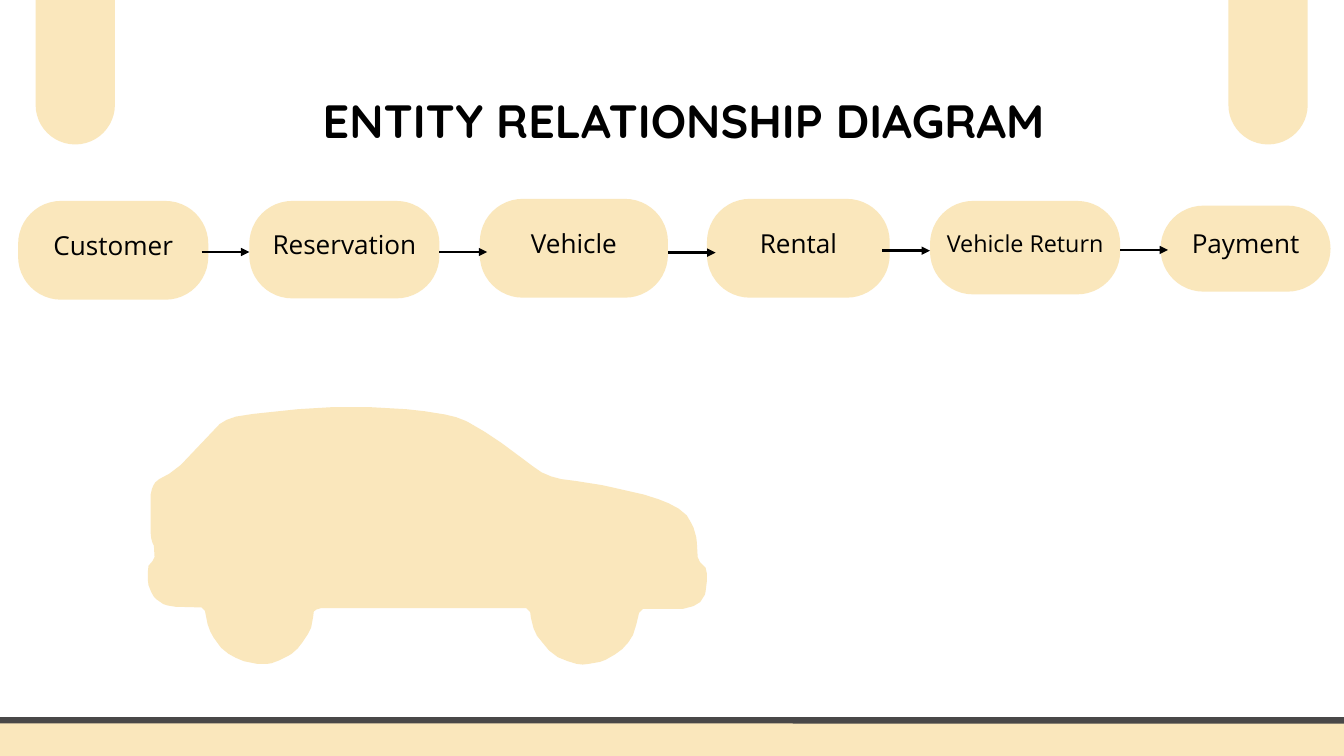
from lxml.etree import SubElement
from pptx import Presentation
from pptx.dml.color import RGBColor
from pptx.enum.shapes import MSO_CONNECTOR, MSO_SHAPE
from pptx.enum.text import MSO_ANCHOR, PP_ALIGN
from pptx.oxml.ns import qn
from pptx.util import Inches, Pt

CREAM = RGBColor(0xFA, 0xE7, 0xBC)
GRAY = RGBColor(0x49, 0x48, 0x48)
BLACK = RGBColor(0x00, 0x00, 0x00)

prs = Presentation()
prs.slide_width = Inches(20)
prs.slide_height = Inches(11.25)
slide = prs.slides.add_slide(prs.slide_layouts[6])


def add_rounded(left, top, width, height, radius):
    """Add a borderless cream rectangle; radius is in inches."""
    shape = slide.shapes.add_shape(
        MSO_SHAPE.ROUNDED_RECTANGLE,
        Inches(left), Inches(top), Inches(width), Inches(height))
    shape.adjustments[0] = min(0.5, radius / min(width, height))
    shape.shadow.inherit = False
    shape.fill.solid()
    shape.fill.fore_color.rgb = CREAM
    shape.line.fill.background()
    return shape


def write_line(frame, text, font_name, size, bold=False):
    """Write one centred line with line spacing of 1.4 times the size."""
    paragraph = frame.paragraphs[0]
    paragraph.alignment = PP_ALIGN.CENTER
    paragraph.line_spacing = Pt(size * 1.4)
    run = paragraph.add_run()
    run.text = text
    run.font.name = font_name
    run.font.size = Pt(size)
    run.font.bold = bold
    run.font.color.rgb = BLACK


# Hanging tabs and floor
for tab_left in (18.28, 0.53):
    add_rounded(tab_left, -1.08, 1.18, 3.23, 0.59)

floor = add_rounded(-0.58, 10.72, 21.16, 0.9, 0.09)
floor.line.color.rgb = GRAY
floor.line.width = Pt(6.75)

# Entities: name, left, top, width, height, text size, upward text shift
entities = [
    ("Customer", 0.27, 2.99, 2.83, 1.47, 28, 0.24),
    ("Reservation", 3.71, 2.99, 2.83, 1.45, 28, 0.24),
    ("Vehicle", 7.14, 2.96, 2.8, 1.47, 28, 0.24),
    ("Rental", 10.52, 2.96, 2.72, 1.47, 28, 0.24),
    ("Vehicle Return", 13.84, 2.99, 2.83, 1.39, 25, 0.2),
    ("Payment", 17.27, 3.06, 2.53, 1.28, 28, 0.24),
]
for name, left, top, width, height, size, shift in entities:
    entity = add_rounded(left, top, width, height, 0.64)
    frame = entity.text_frame
    frame.word_wrap = False
    frame.vertical_anchor = MSO_ANCHOR.MIDDLE
    frame.margin_left = frame.margin_right = frame.margin_top = Inches(0.06)
    frame.margin_bottom = Inches(0.06 + shift)
    write_line(frame, name, "Open Sans", size)

# Car silhouette, counterclockwise from the rear window
car_outline = [
    # Rear
    (2.24, 7.37), (2.24, 7.91), (2.25, 8.01), (2.27, 8.08), (2.29, 8.12),
    (2.3, 8.29), (2.27, 8.35), (2.21, 8.42), (2.2, 8.51), (2.2, 8.63),
    (2.21, 8.71), (2.25, 8.81), (2.29, 8.88), (2.33, 8.92), (2.43, 8.99),
    (2.49, 9.01), (2.61, 9.03), (3, 9.04), (3.05, 9.09),
    # Rear wheel
    (3.06, 9.14), (3.09, 9.29), (3.13, 9.4), (3.18, 9.49), (3.29, 9.64),
    (3.4, 9.73), (3.51, 9.79), (3.63, 9.84), (3.83, 9.88), (3.98, 9.88),
    (4.04, 9.87), (4.15, 9.83), (4.29, 9.76), (4.34, 9.73), (4.43, 9.65),
    (4.5, 9.56), (4.58, 9.44), (4.63, 9.34), (4.66, 9.18), (4.67, 9.1),
    (4.71, 9.07), (4.78, 9.05),
    # Front wheel
    (7.83, 9.05), (7.89, 9.11), (7.9, 9.19), (7.94, 9.35), (7.99, 9.46),
    (8.03, 9.51), (8.12, 9.62), (8.17, 9.68), (8.3, 9.78), (8.45, 9.84),
    (8.58, 9.88), (8.67, 9.89), (8.76, 9.88), (8.93, 9.85), (9.01, 9.82),
    (9.15, 9.74), (9.26, 9.66), (9.35, 9.56), (9.42, 9.45), (9.47, 9.29),
    (9.51, 9.12), (9.57, 9.06),
    # Front
    (10.17, 9.06), (10.32, 9.02), (10.42, 8.96), (10.49, 8.85), (10.5, 8.8),
    (10.52, 8.64), (10.52, 8.54), (10.5, 8.45), (10.42, 8.37), (10.38, 8.29),
    (10.38, 8.25), (10.37, 8.07), (10.36, 7.99), (10.32, 7.85),
    (10.29, 7.79), (10.22, 7.67), (10.1, 7.57), (9.95, 7.49),
    # Bonnet and windscreen
    (9.8, 7.43), (9.58, 7.36), (9.14, 7.26), (8.96, 7.22), (8.58, 7.16),
    (8.35, 7.13), (8.2, 7.09), (8.06, 7.03), (7.93, 6.94), (7.77, 6.82),
    (7.46, 6.59), (7.22, 6.43), (6.98, 6.29),
    # Roof and rear window
    (6.92, 6.26), (6.79, 6.21), (6.63, 6.17), (6.32, 6.12), (6.05, 6.09),
    (5.52, 6.06), (4.93, 6.06), (4.43, 6.09), (3.77, 6.16), (3.51, 6.2),
    (3.37, 6.25), (3.27, 6.31), (2.69, 6.92), (2.52, 7.05), (2.37, 7.13),
    (2.31, 7.18), (2.28, 7.23), (2.26, 7.28),
]
vertices = [(Inches(x), Inches(y)) for x, y in car_outline]
builder = slide.shapes.build_freeform(*vertices[0])
builder.add_line_segments(vertices[1:], close=True)
car = builder.convert_to_shape()
car.shadow.inherit = False
car.fill.solid()
car.fill.fore_color.rgb = CREAM
car.line.fill.background()

# Title
title = slide.shapes.add_textbox(
    Inches(3.11), Inches(1.23), Inches(14.13), Inches(0.92)).text_frame
title.word_wrap = True
title.margin_left = title.margin_right = 0
title.margin_top = title.margin_bottom = 0
write_line(title, "ENTITY RELATIONSHIP DIAGRAM", "Quicksand", 50, bold=True)

# Arrows between entities
for start, y in ((3, 3.75), (6.54, 3.75), (9.94, 3.76), (13.13, 3.73), (16.67, 3.72)):
    arrow = slide.shapes.add_connector(
        MSO_CONNECTOR.STRAIGHT,
        Inches(start), Inches(y), Inches(start + 0.71), Inches(y))
    arrow.line.color.rgb = BLACK
    arrow.line.width = Pt(3)
    SubElement(arrow.line._get_or_add_ln(), qn("a:tailEnd"), type="triangle")
    SubElement(arrow._element.spPr, qn("a:effectLst"))

prs.save("out.pptx")
